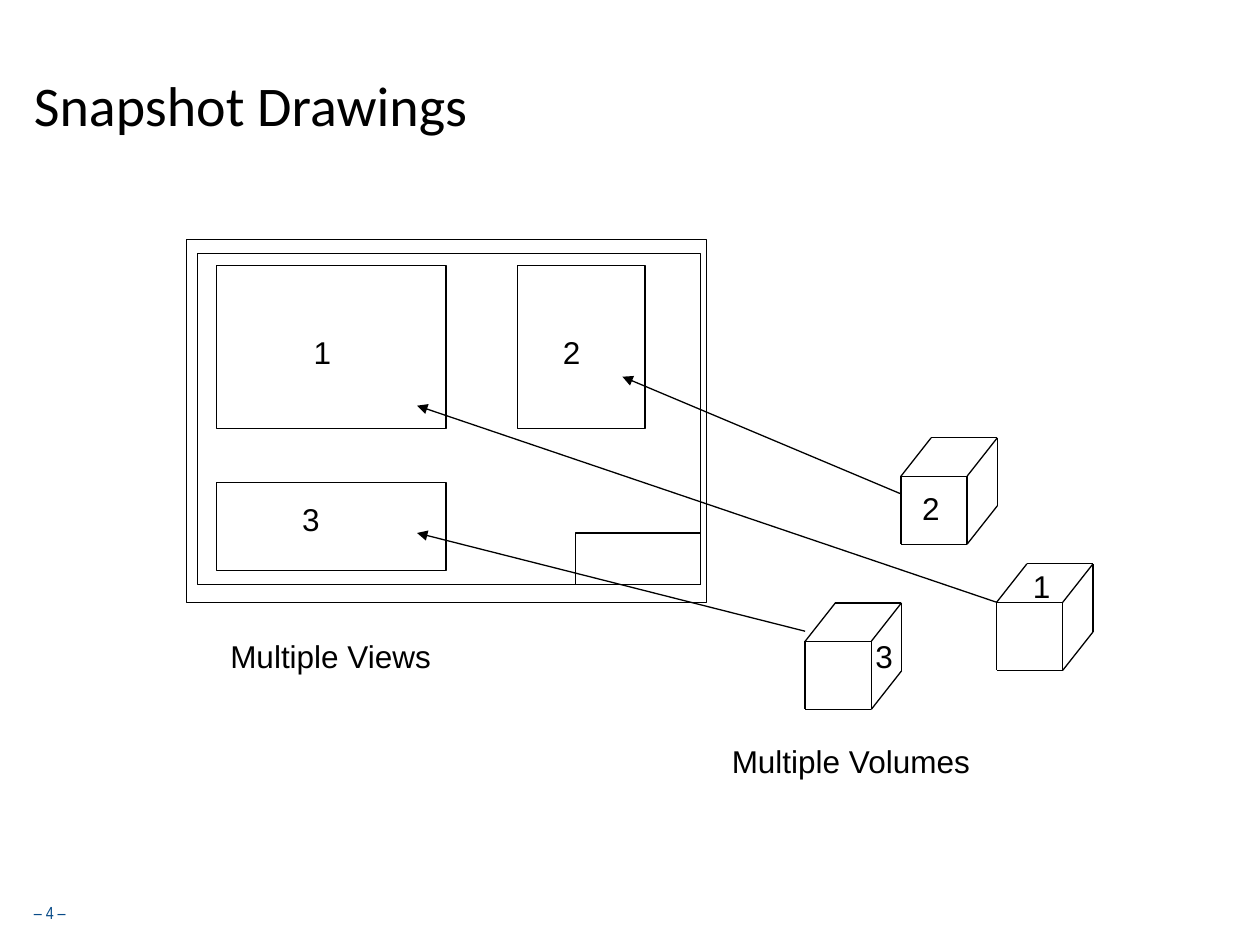
from pptx import Presentation
from pptx.dml.color import RGBColor
from pptx.enum.shapes import MSO_CONNECTOR, MSO_SHAPE
from pptx.enum.text import MSO_ANCHOR, MSO_AUTO_SIZE
from pptx.oxml.ns import qn
from pptx.util import Inches, Pt
from lxml import etree

LINE = MSO_CONNECTOR.STRAIGHT
RECT = MSO_SHAPE.RECTANGLE
TOP, MIDDLE = MSO_ANCHOR.TOP, MSO_ANCHOR.MIDDLE
FIT = MSO_AUTO_SIZE.SHAPE_TO_FIT_TEXT

# The slide is a grid of 100 columns by 75 rows
COLS, ROWS = 100, 75
WIDTH, HEIGHT = Inches(10), Inches(7.5)
BLACK, BLUE = "000000", "084B88"

# Cube: front width and height, then shift of the back face
FRONT_W, FRONT_H = 5.25, 5.4
DEPTH_X, DEPTH_Y = 2.4, 3.05


def col(n):
    return round(n * WIDTH / COLS)


def row(n):
    return round(n * HEIGHT / ROWS)


def color(text):
    return RGBColor.from_string(text)


def ink(line):
    line.color.rgb = color(BLACK)
    line.width = Pt(0.75)


def frame(shapes, x, y, w, h):
    box = shapes.add_shape(RECT, col(x), row(y), col(w), row(h))
    box.shadow.inherit = False
    box.fill.background()
    ink(box.line)


def stroke(shapes, start, end, arrow=False):
    (x1, y1), (x2, y2) = start, end
    line = shapes.add_connector(LINE, col(x1), row(y1), col(x2), row(y2))
    ink(line.line)
    props = line._element.spPr
    if arrow:
        tip = etree.SubElement(props.find(qn("a:ln")), qn("a:tailEnd"))
        tip.set("type", "triangle")
    etree.SubElement(props, qn("a:effectLst"))


def cube(shapes, x, y):
    """Draw a cube whose front face has its top left corner at x, y."""
    group = shapes.add_group_shape().shapes
    right, base = x + FRONT_W, y + FRONT_H
    back, far = x + DEPTH_X, right + DEPTH_X
    top, low = y - DEPTH_Y, base - DEPTH_Y
    edges = [
        # Front face
        ((x, y), (x, base)), ((right, y), (right, base)),
        ((x, y), (right, y)), ((x, base), (right, base)),
        # Back edges
        ((far, top), (far, low)), ((back, top), (far, top)),
        # Slanted edges
        ((x, y), (back, top)), ((right, y), (far, top)),
        ((right, base), (far, low)),
    ]
    for start, end in edges:
        stroke(group, start, end)


def write(shapes, text, x, y, w, h, size=18, font="Arial", hue=BLACK,
          anchor=TOP, wrap=True):
    box = shapes.add_textbox(col(x), row(y), col(w), row(h))
    body = box.text_frame
    body.word_wrap = wrap
    body.vertical_anchor = anchor
    if not wrap:
        body.auto_size = FIT
    body.text = text
    face = body.paragraphs[0].runs[0].font
    face.size, face.name = Pt(size), font
    face.color.rgb = color(hue)


def main():
    deck = Presentation()
    deck.slide_width, deck.slide_height = WIDTH, HEIGHT
    shapes = deck.slides.add_slide(deck.slide_layouts[6]).shapes

    # Page number and title
    write(shapes, "– 4 –", 1.7, 71.1, 52.5, 3.3, 10, "Arial Narrow", BLUE)
    write(shapes, "Snapshot Drawings", 1.7, 2, 74.2, 12.5, 32, "Calibri",
          anchor=MIDDLE)

    # Sheet, border, title block and the three views
    for box in [(14.8, 19, 41.3, 28.8), (15.7, 20.1, 39.9, 26.3),
                (45.7, 42.3, 9.9, 4.1), (17.2, 21.1, 18.2, 12.9),
                (17.2, 38.3, 18.2, 7), (41.1, 21.1, 10.1, 12.9)]:
        frame(shapes, *box)

    # Volumes
    for x, y in [(63.9, 50.9), (71.5, 37.8), (79.1, 47.8)]:
        cube(shapes, x, y)

    # Numbers on the views, then on the volumes
    for text, x, y in [("1", 23.9, 25.9), ("2", 43.7, 25.9), ("3", 23, 39.2),
                       ("1", 81, 44.5), ("2", 72.2, 38.3), ("3", 68.5, 50.1)]:
        write(shapes, text, x, y, 3.4, 4, wrap=False)

    # Arrows from volume to view
    for start, end in [((63.9, 50.1), (33.1, 42.3)),
                       ((71.5, 39.2), (49.4, 29.9)),
                       ((79.1, 47.8), (33.1, 32.2))]:
        stroke(shapes, start, end, arrow=True)

    # Captions
    write(shapes, "Multiple Volumes", 57.1, 58.4, 21, 4, wrap=False)
    write(shapes, "Multiple Views", 17.3, 50.1, 18, 4, wrap=False)

    deck.save("out.pptx")


if __name__ == "__main__":
    main()
